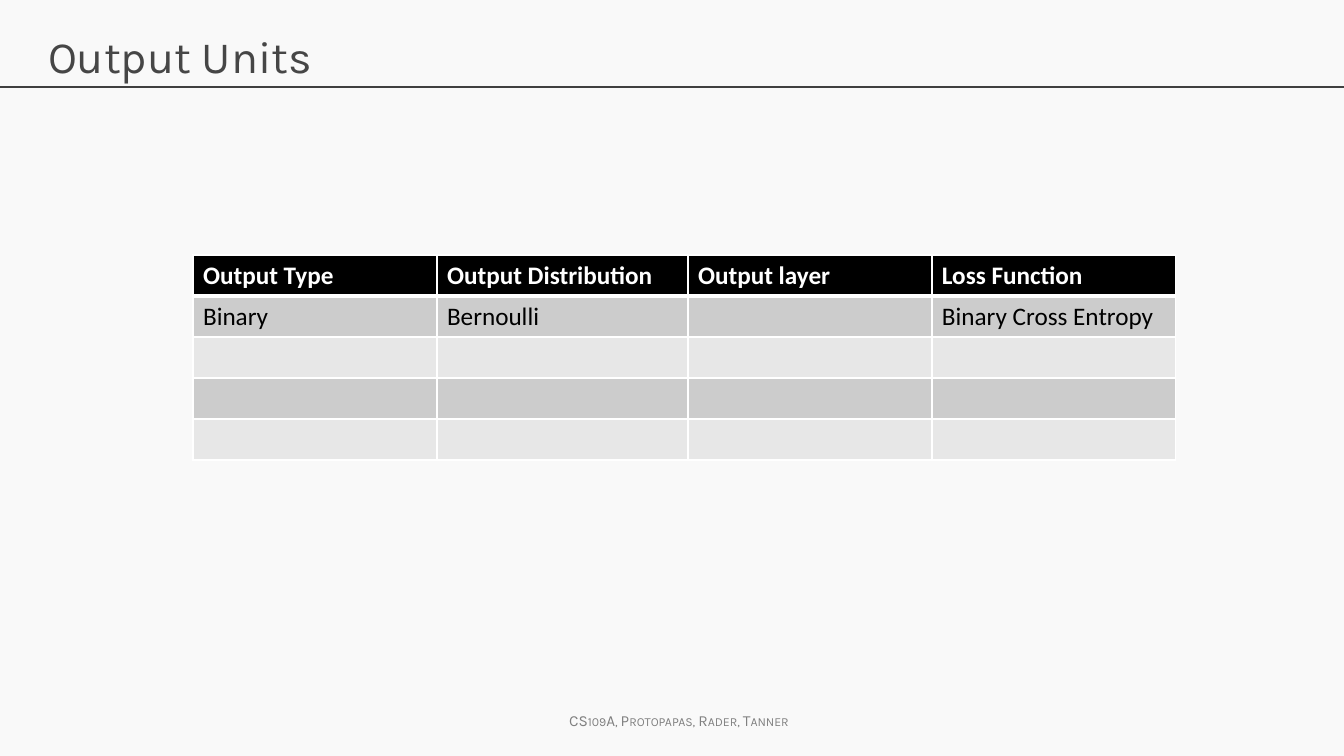
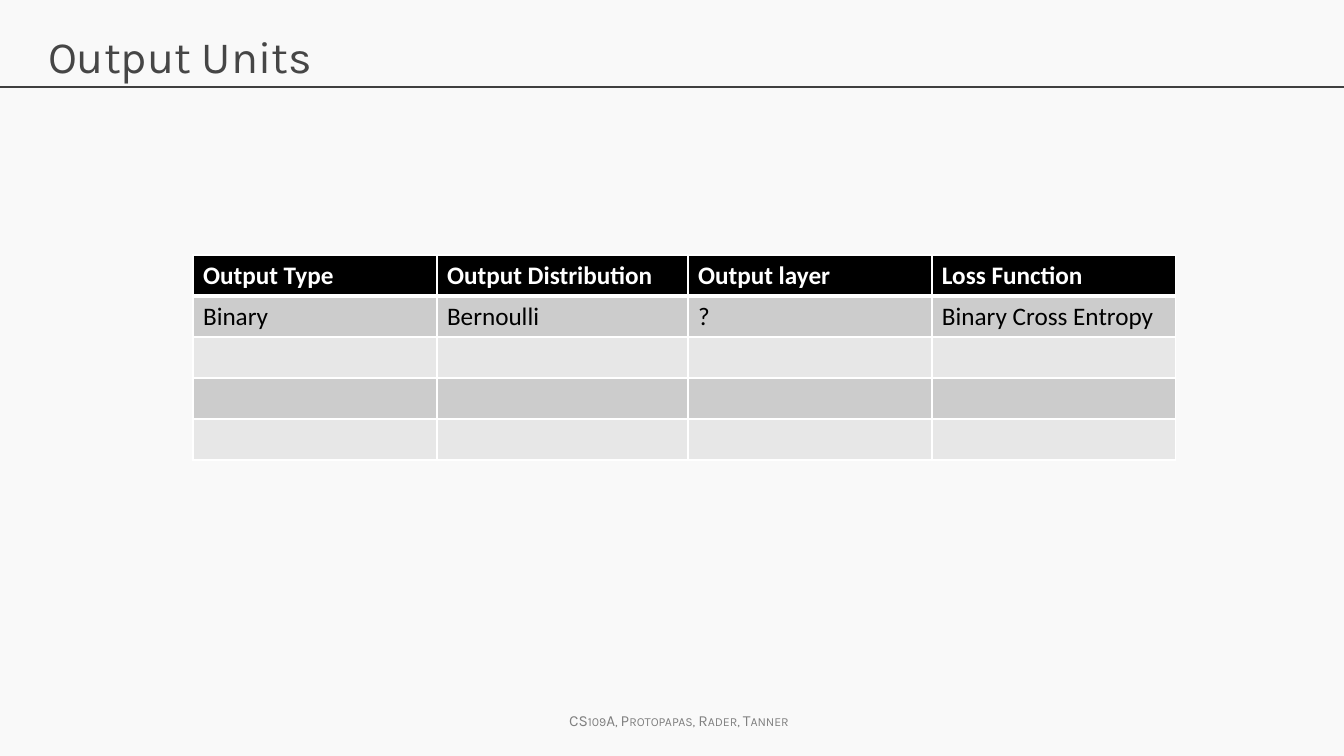
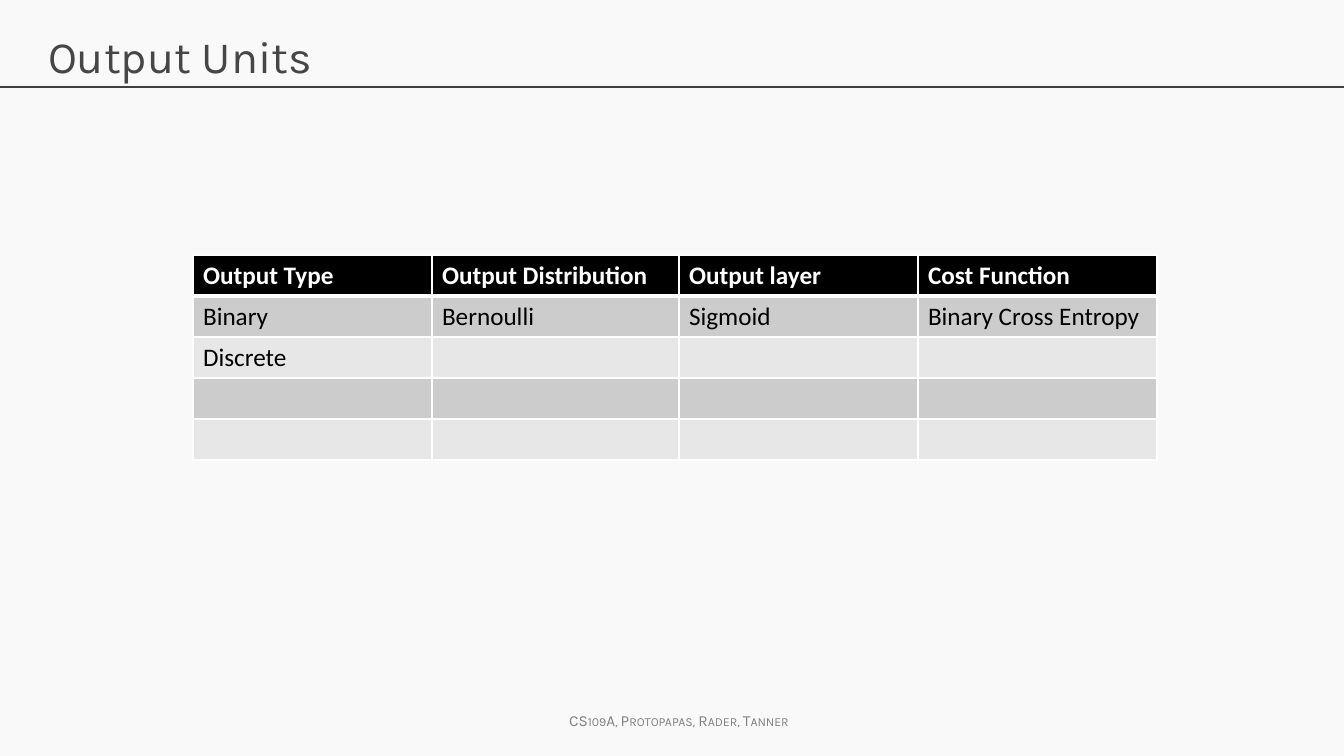
from lxml.etree import SubElement
from pptx import Presentation
from pptx.dml.color import RGBColor
from pptx.enum.shapes import MSO_CONNECTOR as Conn
from pptx.enum.text import MSO_ANCHOR as Anchor, MSO_AUTO_SIZE as Fit, PP_ALIGN as Align
from pptx.oxml.ns import qn
from pptx.util import Pt

PX = 914400 / 100.8
WIDE, HIGH = 1344, 756
COLOR = {
    "page": "F9F9F9", "rule": "404040", "title": "464646", "foot": "808080",
    "head": "000000", "odd": "CCCCCC", "even": "E7E7E7",
    "grid": "FFFFFF", "light": "FFFFFF", "text": "000000",
}
HEAD = ["Output Type", "Output Distribution", "Output layer"]
ROWS, COLS, ROW = 5, 4, 41

# Last heading, body rows, common column width, width of second column
TABLES = [
    ("Loss Function", [["Binary", "Bernoulli", "", "Binary Cross Entropy"]], 244, 251),
    ("Loss Function", [["Binary", "Bernoulli", "?", "Binary Cross Entropy"]], 244, 251),
    ("Cost Function", [["Binary", "Bernoulli", "Sigmoid", "Binary Cross Entropy"],
                       ["Discrete"]], 239, 247),
]


def px(*nums):
    return [round(num * PX) for num in nums]


def rgb(name):
    return RGBColor.from_string(COLOR[name])


def style(para, size, face, color, bold=False):
    for run in para.runs:
        font = run.font
        font.size, font.name, font.bold = Pt(size), face, bold
        font.color.rgb = rgb(color)


def set_up(deck):
    """Set page, title place and title anchor; return the layout."""
    deck.slide_width, deck.slide_height = px(WIDE, HIGH)
    fill = deck.slide_master.background.fill
    fill.solid()
    fill.fore_color.rgb = rgb("page")
    layout = deck.slide_layouts.get_by_name("Title Only")
    title = layout.placeholders[0]
    title.left, title.top, title.width, title.height = px(38, 24, 1267, 85)
    title.text_frame.vertical_anchor = Anchor.TOP
    return layout


def add_rule(slide):
    rule = slide.shapes.add_connector(Conn.STRAIGHT, *px(0, 87, WIDE, 87))
    rule.line.color.rgb = rgb("rule")
    rule.line.width = Pt(0.75)
    SubElement(rule.element.spPr, qn("a:effectLst"))
    return rule


def add_foot(slide):
    foot = slide.shapes.add_textbox(*px(553, 706, 252, 29))
    frame = foot.text_frame
    frame.text = "CS109A, Protopapas, Rader, Tanner"
    frame.word_wrap = False
    frame.auto_size = Fit.SHAPE_TO_FIT_TEXT
    para = frame.paragraphs[0]
    para.alignment = Align.CENTER
    style(para, 11, "Karla", "foot")
    para.runs[0].font._element.set("cap", "small")
    return foot


def share(layout, *shapes):
    """Move shapes to the layout, so that every slide shows them."""
    for shape in shapes:
        layout.shapes.element.append(shape.element)


def add_title(slide, text):
    frame = slide.shapes.title.text_frame
    frame.text = text
    para = frame.paragraphs[0]
    para.alignment = Align.LEFT
    style(para, 32, "Karla", "title")


def set_edges(cell, row):
    """Draw white borders, thick between the heading and the body."""
    thick = {0: "B", 1: "T"}.get(row)
    props = cell._tc.get_or_add_tcPr()
    for side in "LRTB":
        width = Pt(3 if side == thick else 1)
        edge = SubElement(props, qn(f"a:ln{side}"), w=str(width))
        fill = SubElement(edge, qn("a:solidFill"))
        SubElement(fill, qn("a:srgbClr"), val=COLOR["grid"])


def add_grid(slide, last, body, width, second):
    total = width * (COLS - 1) + second
    shape = slide.shapes.add_table(ROWS, COLS, *px(193, 255, total, ROW * ROWS))
    table = shape.table
    for col, column in enumerate(table.columns):
        column.width = px(second if col == 1 else width)[0]
    for row, words in enumerate([HEAD + [last]] + body):
        for col, word in enumerate(words):
            if word:
                table.cell(row, col).text_frame.text = word
    for row in range(ROWS):
        back = "head" if row == 0 else "odd" if row % 2 else "even"
        for col in range(COLS):
            cell = table.cell(row, col)
            set_edges(cell, row)
            cell.fill.solid()
            cell.fill.fore_color.rgb = rgb(back)
            style(cell.text_frame.paragraphs[0], 18, "Calibri",
                  "text" if row else "light", bold=row == 0)


def main():
    deck = Presentation()
    layout = set_up(deck)
    for num, data in enumerate(TABLES):
        slide = deck.slides.add_slide(layout)
        if num == 0:
            share(layout, add_rule(slide), add_foot(slide))
        add_title(slide, "Output Units")
        add_grid(slide, *data)
    deck.save("out.pptx")


if __name__ == "__main__":
    main()
